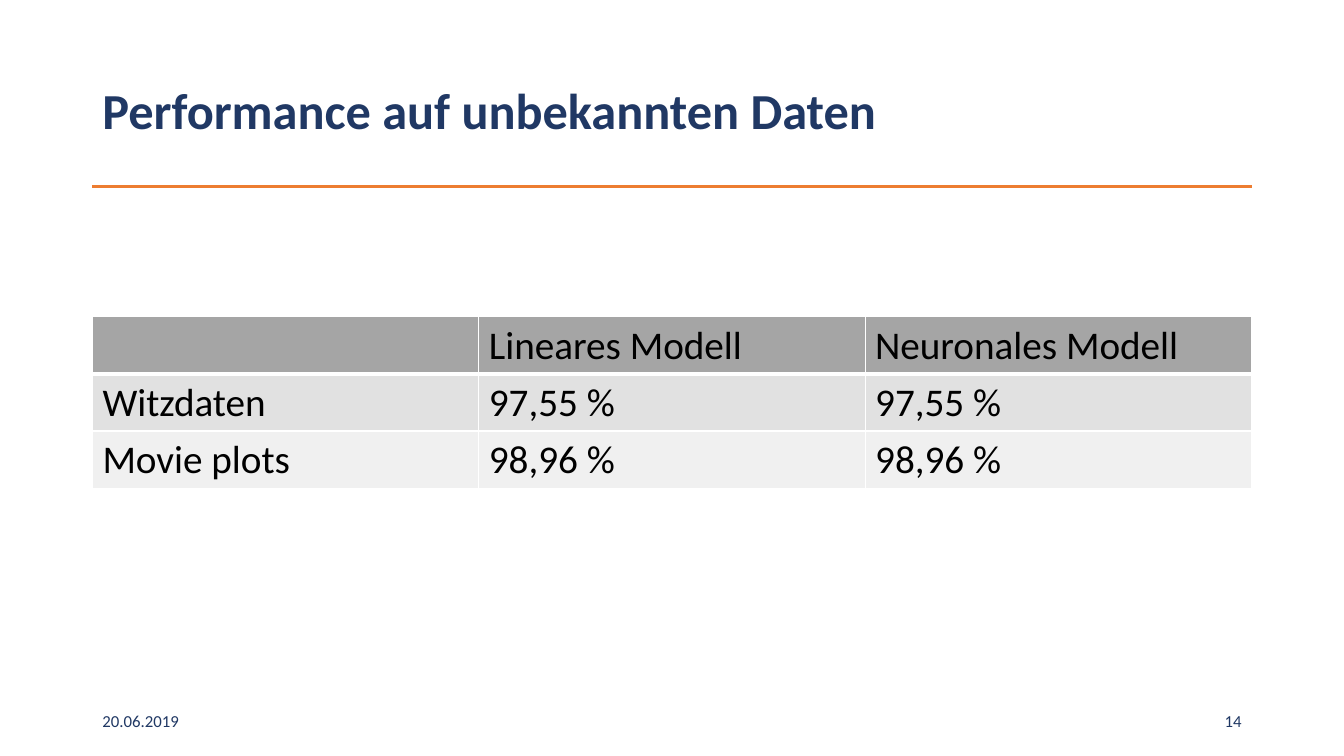
from dataclasses import dataclass

from lxml import etree
from pptx import Presentation
from pptx.dml.color import RGBColor
from pptx.enum.shapes import MSO_CONNECTOR
from pptx.enum.text import MSO_ANCHOR, PP_ALIGN
from pptx.oxml.ns import qn
from pptx.slide import Slide
from pptx.table import _Cell
from pptx.text.text import _Paragraph
from pptx.util import Cm, Pt

STRAIGHT = MSO_CONNECTOR.STRAIGHT
MIDDLE = MSO_ANCHOR.MIDDLE
LEFT, RIGHT = PP_ALIGN.LEFT, PP_ALIGN.RIGHT

FONT = "Calibri"
COLORS = {
    "navy": "203864",
    "orange": "ED7D31",
    "black": "000000",
    "white": "FFFFFF",
    "header": "A5A5A5",
    "odd": "E1E1E1",
    "even": "F0F0F0",
}
MARGIN, CONTENT_WIDTH = 2.33, 29.21
FOOTER_TOP, FOOTER_WIDTH, FOOTER_HEIGHT = 17.65, 7.62, 1.01
TABLE_TOP, ROW_HEIGHT = 7.98, 1.44


@dataclass
class Label:
    text: str
    left: float
    top: float
    width: float
    height: float
    size: int
    bold: bool = False
    align: PP_ALIGN = LEFT
    spacing: float = 1.0


@dataclass
class Row:
    cells: tuple[str, ...]
    fill: str
    top_line: int = 1
    bottom_line: int = 1


LABELS = [
    Label("Performance auf unbekannten Daten", MARGIN, 1.01, CONTENT_WIDTH, 3.68,
          36, bold=True, spacing=0.9),
    Label("20.06.2019", MARGIN, FOOTER_TOP, FOOTER_WIDTH, FOOTER_HEIGHT, 12),
    Label("14", MARGIN + CONTENT_WIDTH - FOOTER_WIDTH, FOOTER_TOP, FOOTER_WIDTH,
          FOOTER_HEIGHT, 12, align=RIGHT),
]
ROWS = [
    Row(("", "Lineares Modell", "Neuronales Modell"), "header", bottom_line=3),
    Row(("Witzdaten", "97,55 %", "97,55 %"), "odd", top_line=3),
    Row(("Movie plots", "98,96 %", "98,96 %"), "even"),
]


def rgb(name: str) -> RGBColor:
    return RGBColor.from_string(COLORS[name])


def style_text(p: _Paragraph, size: int, color: str, bold: bool = False) -> None:
    p.font.name = FONT
    p.font.size = Pt(size)
    p.font.bold = bold
    p.font.color.rgb = rgb(color)


def add_label(s: Slide, label: Label) -> None:
    sp = s.shapes.add_textbox(Cm(label.left), Cm(label.top), Cm(label.width), Cm(label.height))
    tf = sp.text_frame
    tf.word_wrap = True
    tf.vertical_anchor = MIDDLE
    p = tf.paragraphs[0]
    p.text = label.text
    p.alignment = label.align
    p.line_spacing = label.spacing
    style_text(p, label.size, "navy", label.bold)


def add_rule(s: Slide) -> None:
    y = Cm(4.7)
    line = s.shapes.add_connector(STRAIGHT, Cm(MARGIN), y, Cm(MARGIN + CONTENT_WIDTH), y)
    line.line.color.rgb = rgb("orange")
    line.line.width = Pt(2.25)
    etree.SubElement(line._element.spPr, qn("a:effectLst"))


def set_borders(cell: _Cell, row: Row) -> None:
    tc_pr = cell._tc.get_or_add_tcPr()
    widths = {"lnL": 1, "lnR": 1, "lnT": row.top_line, "lnB": row.bottom_line}
    for side, width in widths.items():
        ln = etree.SubElement(tc_pr, qn(f"a:{side}"), w=str(Pt(width)))
        fill = etree.SubElement(ln, qn("a:solidFill"))
        etree.SubElement(fill, qn("a:srgbClr"), val=COLORS["white"])


def add_results(s: Slide) -> None:
    columns = len(ROWS[0].cells)
    frame = s.shapes.add_table(len(ROWS), columns, Cm(MARGIN), Cm(TABLE_TOP),
                               Cm(CONTENT_WIDTH), Cm(ROW_HEIGHT * len(ROWS)))
    table = frame.table
    for i, row in enumerate(ROWS):
        for j, text in enumerate(row.cells):
            cell = table.cell(i, j)
            set_borders(cell, row)
            cell.fill.solid()
            cell.fill.fore_color.rgb = rgb(row.fill)
            p = cell.text_frame.paragraphs[0]
            p.text = text
            style_text(p, 28, "black")


def main() -> None:
    prs = Presentation()
    prs.slide_width, prs.slide_height = Cm(33.87), Cm(19.05)
    s = prs.slides.add_slide(prs.slide_layouts[6])
    add_rule(s)
    for label in LABELS:
        add_label(s, label)
    add_results(s)
    prs.save("out.pptx")


if __name__ == "__main__":
    main()
